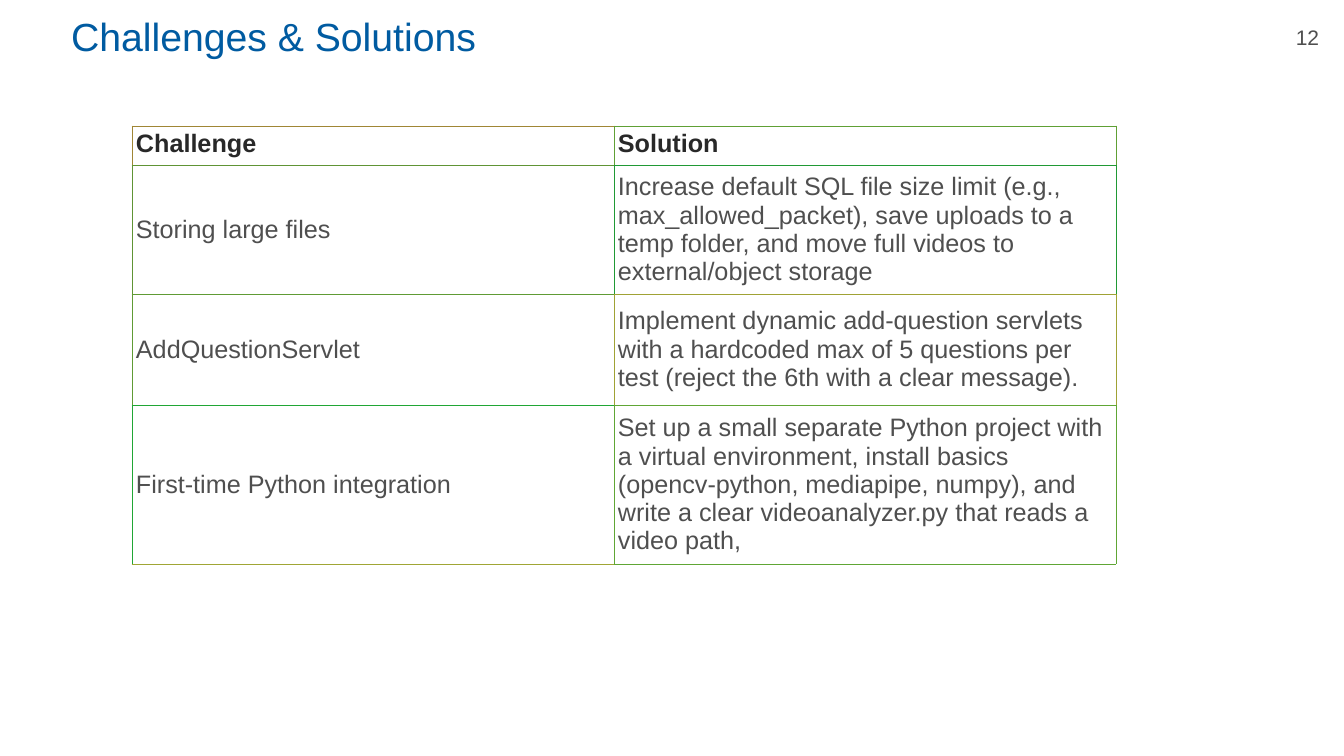
from pptx import Presentation
from pptx.dml.color import RGBColor
from pptx.enum.text import MSO_ANCHOR as Anchor, MSO_AUTO_SIZE as Fit, PP_ALIGN as Align
from pptx.oxml import parse_xml
from pptx.oxml.ns import nsdecls
from pptx.util import Pt

PX = 914400 / 100.8
GREY, DARK, BLUE = "4F4F4F", "282828", "005BA1"
ROWS = [
    ("Challenge", "Solution"),
    ("Storing large files",
     "Increase default SQL file size limit (e.g., max_allowed_packet), save uploads "
     "to a temp folder, and move full videos to external/object storage"),
    ("AddQuestionServlet",
     "Implement dynamic add-question servlets with a hardcoded max of 5 questions "
     "per test (reject the 6th with a clear message)."),
    ("First-time Python integration",
     "Set up a small separate Python project with a virtual environment, install "
     "basics (opencv-python, mediapipe, numpy), and write a clear videoanalyzer.py "
     "that reads a video path,"),
]
# Left and top edge of each cell; the last pair closes the table's bottom.
EDGES = [
    ("A08635", "60A035"),
    ("609435", "209935"),
    ("609B35", "A0A235"),
    ("20A635", "60A635"),
    ("A0A635", "60A635"),
]


def px(n):
    return round(n * PX)


def tint(color):
    return RGBColor.from_string(color)


def style(frame, size, color, bold=False, align=Align.LEFT):
    for para in frame.paragraphs:
        para.alignment = align
        for run in para.runs:
            font = run.font
            font.name, font.size, font.bold = "Arial", Pt(size), bold
            font.color.rgb = tint(color)


def place(shape, box):
    shape.left, shape.top, shape.width, shape.height = map(px, box)


def add_title(slide, text, box):
    title = slide.shapes.title
    place(title, box)
    frame = title.text_frame
    frame.text = text
    frame.word_wrap, frame.auto_size = True, Fit.NONE
    frame.vertical_anchor = Anchor.MIDDLE
    style(frame, 28, BLUE)


def add_number(slide, text, box):
    frame = slide.shapes.add_textbox(*map(px, box)).text_frame
    frame.text = text
    frame.word_wrap = True
    style(frame, 15, GREY, align=Align.CENTER)


def add_edges(cell, row, col):
    """Draw a cell's borders, sharing colours with the cells to its right and below."""
    own = EDGES[row][col]
    sides = {"L": own, "R": EDGES[row][-1], "T": own, "B": EDGES[row + 1][col]}
    props = cell._tc.get_or_add_tcPr()
    for side, color in sides.items():
        props.append(parse_xml(
            f'<a:ln{side} {nsdecls("a")} w="{Pt(0.5)}"><a:solidFill>'
            f'<a:srgbClr val="{color}"/></a:solidFill></a:ln{side}>'))


def fill_cell(cell, text, row, col):
    head = row == 0
    cell.text = text
    cell.margin_left = cell.margin_right = px(4)
    cell.margin_top = cell.margin_bottom = px(4)
    cell.vertical_anchor = Anchor.TOP if head else Anchor.MIDDLE
    style(cell.text_frame, 18, DARK if head else GREY, bold=head)
    add_edges(cell, row, col)
    cell.fill.background()


def add_grid(slide, box, widths, heights):
    table = slide.shapes.add_table(len(ROWS), len(ROWS[0]), *map(px, box)).table
    table.horz_banding = False
    for col, width in zip(table.columns, widths):
        col.width = px(width)
    for line, height in zip(table.rows, heights):
        line.height = px(height)
    for row, texts in enumerate(ROWS):
        for col, text in enumerate(texts):
            fill_cell(table.cell(row, col), text, row, col)


def main():
    deck = Presentation()
    deck.slide_width, deck.slide_height = px(1344), px(756)
    slide = deck.slides.add_slide(deck.slide_layouts[5])
    add_title(slide, "Challenges & Solutions", (61, 1, 1098, 69))
    add_number(slide, "12", (1224, 20, 167, 35))
    add_grid(slide, (132, 126, 984, 438), (482, 502), (39, 111, 111, 85))
    deck.save("out.pptx")


if __name__ == "__main__":
    main()
